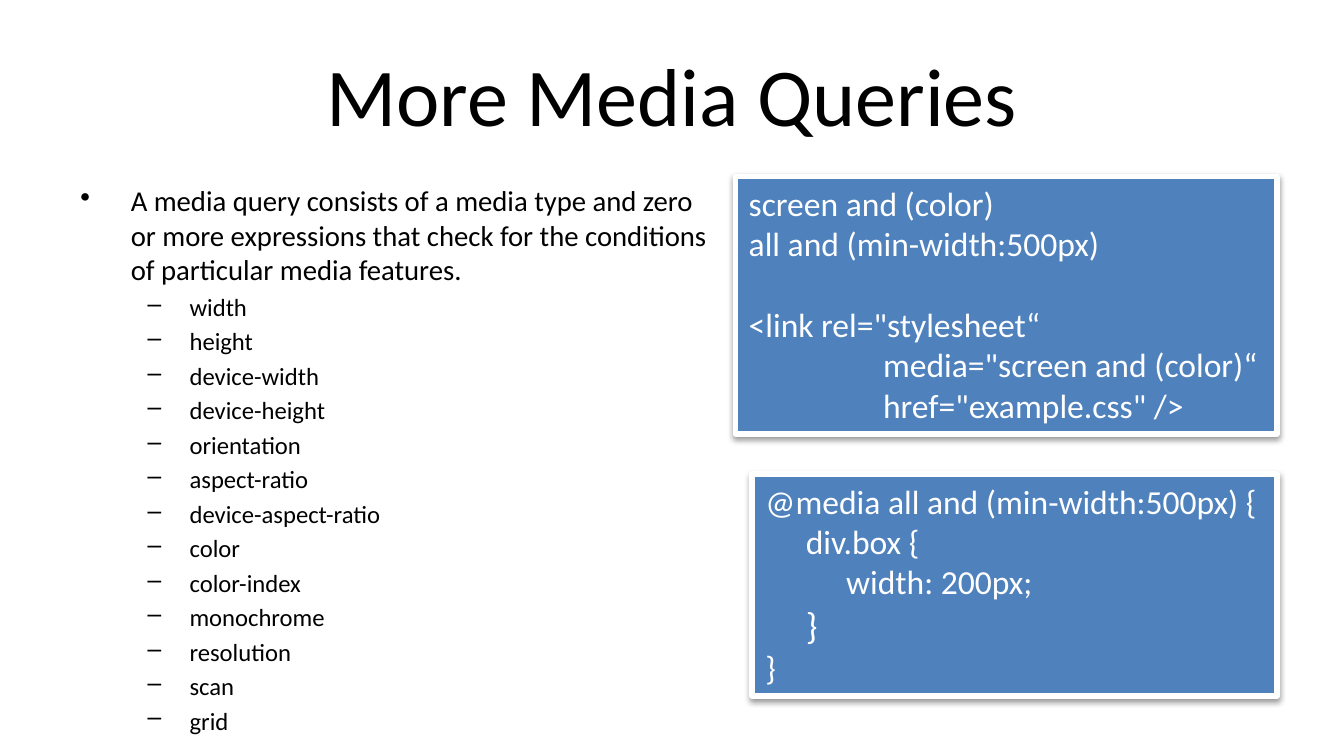
import pptx
import pptx.util
import pptx.dml.color
import pptx.enum.shapes
import pptx.enum.text
import pptx.oxml
import pptx.oxml.ns

Pt = pptx.util.Pt
RGB = pptx.dml.color.RGBColor
ALIGN = pptx.enum.text.PP_ALIGN
ANCHOR = pptx.enum.text.MSO_ANCHOR
BLACK = RGB(0x00, 0x00, 0x00)
WHITE = RGB(0xFF, 0xFF, 0xFF)
BLUE = RGB(0x4F, 0x81, 0xBD)
FONT = "Calibri"

INTRO = ("A media query consists of a media type and zero or more expressions "
         "that check for the conditions of particular media features.")
FEATURES = ["width", "height", "device-width", "device-height", "orientation",
            "aspect-ratio", "device-aspect-ratio", "color", "color-index",
            "monochrome", "resolution", "scan", "grid"]

# Code lines: text, indent level, size, space before
QUERY_CODE = [
    ("screen and (color)", 0, 18, 0),
    ("all and (min-width:500px)", 0, 18, 0),
    ('<link rel="stylesheet\u201c', 0, 18, 21.6),
    ('media="screen and (color)\u201c', 1, 18, 0),
    ('href="example.css" />', 1, 18, 0),
]
RULE_CODE = [
    ("@media all and (min-width:500px) {", 0, 18, 0),
    ("div.box {", 1, 18, 0),
    ("width: 200px;", 2, 18, 0),
    ("}", 1, 20, 0),
    ("}", 0, 18, 0),
]


def set_attrs(obj, values):
    """Set each named attribute of an object."""
    for name, value in values.items():
        setattr(obj, name, value)


def add_par(tf, text, size, color, before=0, left=0, hang=0, bullet=None, **fmt):
    """Append a paragraph, using the empty first one when it is free."""
    p = tf.paragraphs[0]
    if p.runs:
        p = tf.add_paragraph()
    set_attrs(p, {"space_before": Pt(before), "alignment": ALIGN.LEFT, **fmt})
    r = p.add_run()
    r.text = text
    set_attrs(r.font, {"name": FONT, "size": Pt(size)})
    r.font.color.rgb = color
    pPr = p._p.get_or_add_pPr()
    pPr.set("marL", str(Pt(left)))
    pPr.set("indent", str(Pt(-hang)))
    if bullet:
        bu = pptx.oxml.parse_xml(
            f'<a:buChar {pptx.oxml.ns.nsdecls("a")} char="{bullet}"/>')
        pPr.append(bu)


def add_text(slide, box, anchor):
    """Add a wrapping text box and return its text frame."""
    tf = slide.shapes.add_textbox(*map(Pt, box)).text_frame
    set_attrs(tf, {"word_wrap": True, "vertical_anchor": anchor})
    return tf


def add_title(slide, box, text):
    """Place the centred title in its box."""
    tf = add_text(slide, box, ANCHOR.MIDDLE)
    add_par(tf, text, 44, BLACK, alignment=ALIGN.CENTER)


def add_features(slide, box, intro, features):
    """Place the bulleted introduction and its dashed list of features."""
    tf = add_text(slide, box, ANCHOR.TOP)
    add_par(tf, intro, 15.4, BLACK, 3.1, 27, 27, "\u2022")
    for feature in features:
        add_par(tf, feature, 13.2, BLACK, 2.64, 58.5, 22.5, "\u2013", level=1)


def add_code(slide, box, lines, step):
    """Place a shadowed code panel, indenting each level by one step."""
    sp = slide.shapes.add_shape(
        pptx.enum.shapes.MSO_SHAPE.RECTANGLE, *map(Pt, box))
    sp.fill.solid()
    sp.fill.fore_color.rgb = BLUE
    sp.line.color.rgb = WHITE
    sp.line.width = Pt(3)
    sp.shadow.inherit = False
    effects = sp._element.spPr.find(pptx.oxml.ns.qn("a:effectLst"))
    effects.append(pptx.oxml.parse_xml(
        f'<a:outerShdw {pptx.oxml.ns.nsdecls("a")} blurRad="{Pt(3.1)}" '
        f'dist="{Pt(1.6)}" dir="5400000" rotWithShape="0">'
        '<a:srgbClr val="000000"><a:alpha val="38000"/></a:srgbClr>'
        '</a:outerShdw>'))
    tf = sp.text_frame
    set_attrs(tf, {"word_wrap": False, "vertical_anchor": ANCHOR.TOP,
                   "auto_size": pptx.enum.text.MSO_AUTO_SIZE.SHAPE_TO_FIT_TEXT})
    for text, level, size, before in lines:
        add_par(tf, text, size, WHITE, before, left=level * step)


def build_slide(prs):
    """Build the media queries slide."""
    slide = prs.slides.add_slide(prs.slide_layouts[6])
    add_title(slide, (36, 16.5, 648, 67.5), "More Media Queries")
    add_features(slide, (36, 94.5, 352, 267), INTRO, FEATURES)
    add_code(slide, (394, 94.5, 290, 138), QUERY_CODE, 72)
    add_code(slide, (403, 254, 281, 119), RULE_CODE, 21.6)


prs = pptx.Presentation()
set_attrs(prs, {"slide_width": Pt(720), "slide_height": Pt(405)})
build_slide(prs)
prs.save("out.pptx")
